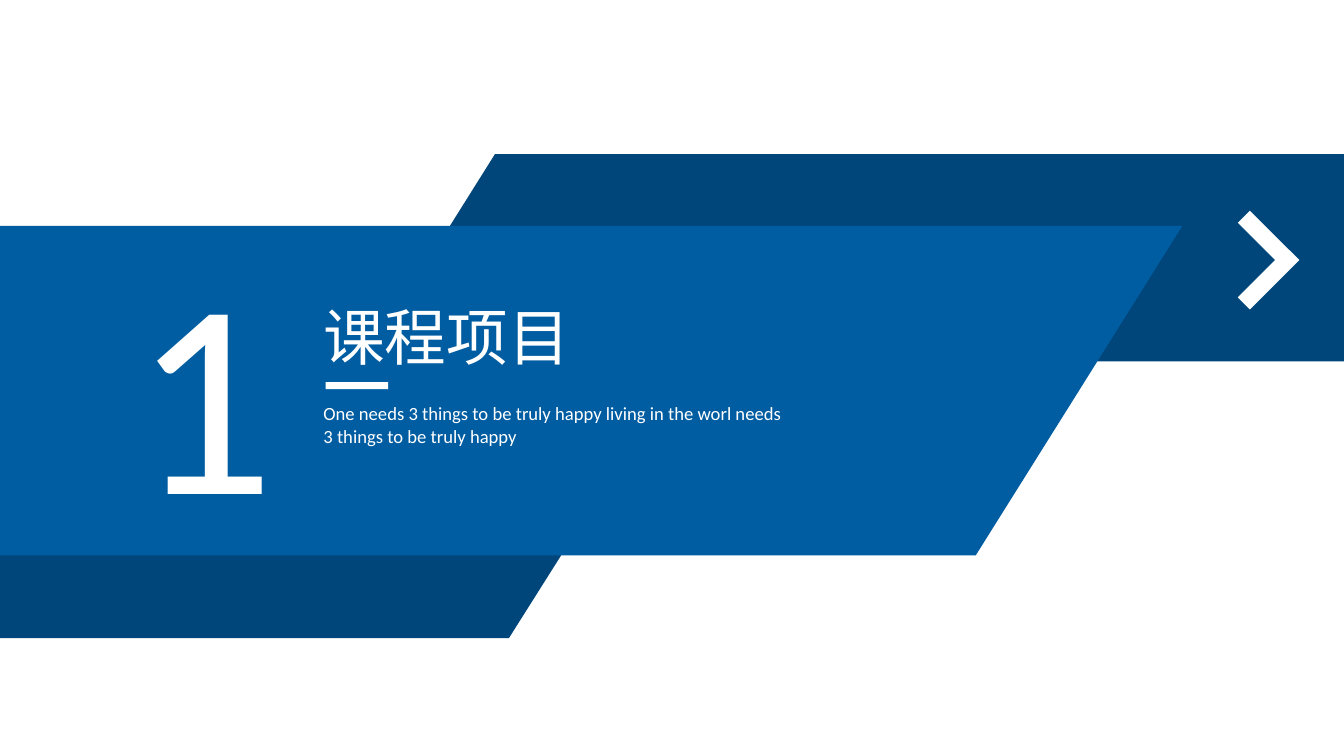
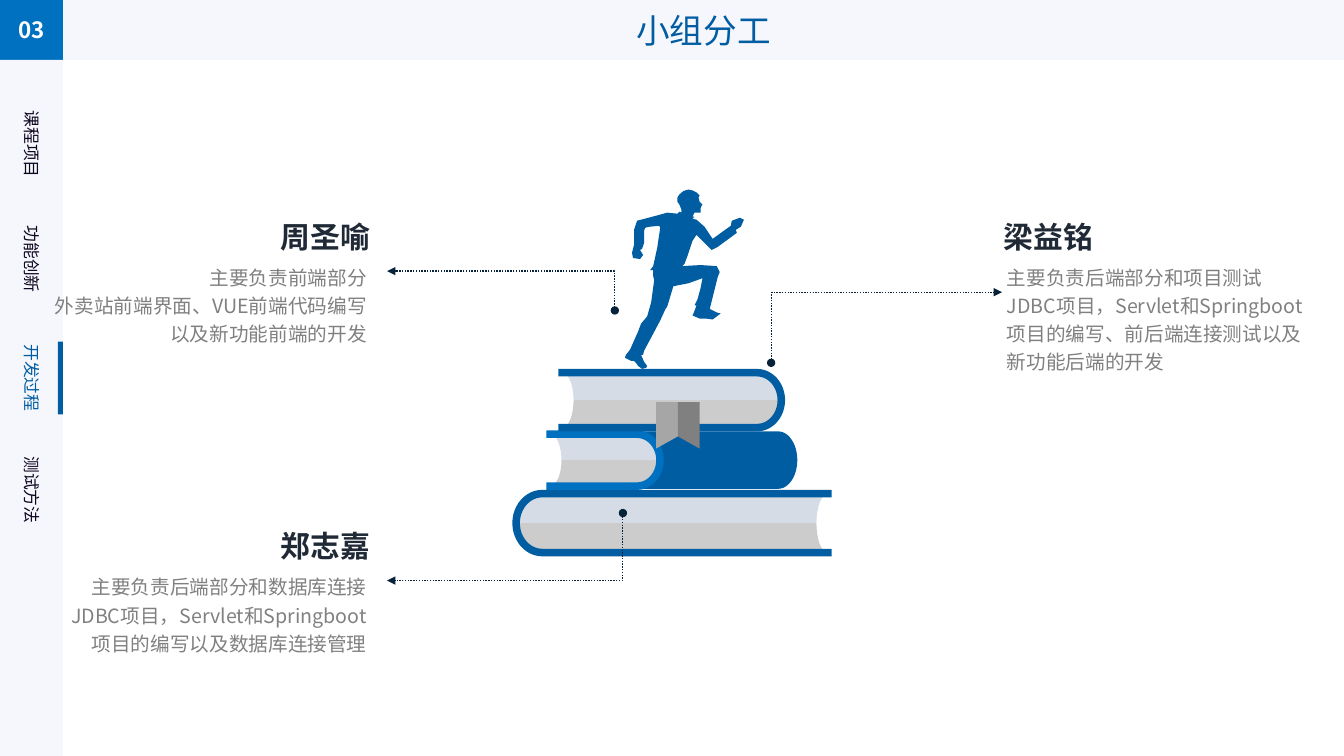
"""Builds a section divider and a team division slide on a grid of tenth-inch cells."""
import math
from dataclasses import dataclass
from typing import Optional

import lxml.etree
import pptx
import pptx.dml.color
import pptx.enum.dml
import pptx.enum.shapes
import pptx.enum.text
import pptx.oxml.ns
import pptx.util

Point = tuple[float, float]
ALIGN = pptx.enum.text.PP_ALIGN
qn = pptx.oxml.ns.qn

CELL = 91440
COLUMNS, ROWS = 133.33, 75
SANS, SANS_JP, LATIN = "Noto Sans CJK SC", "Noto Sans CJK JP", "Calibri"
WHITE, BLUE, NAVY, BRIGHT = "FFFFFF", "005DA2", "00467A", "0070C0"
PALE, INK, WIRE, HEADING = "F6F7FC", "0E0520", "07233A", "202A36"
PAGE_LIGHT, PAGE_DARK = "D6DCE5", "CCCCCC"
RIBBON_LIGHT, GRAY = "A6A6A6", "808080"
RAIL, HEADER = 6.25, 5.95


@dataclass(frozen=True)
class Box:
    left: float
    top: float
    width: float
    height: float


@dataclass(frozen=True)
class Style:
    size: float
    color: str
    font: str = SANS
    bold: bool = False
    align: ALIGN = ALIGN.LEFT
    spacing: Optional[float] = None


@dataclass(frozen=True)
class Book:
    open_end: float
    curve: float
    top: float
    bottom: float
    side: int
    color: str


@dataclass(frozen=True)
class NavItem:
    label: str
    top: float
    active: bool = False


@dataclass(frozen=True)
class Member:
    name: str
    duties: tuple[str, ...]
    left: float
    top: float
    width: float
    align: ALIGN


@dataclass(frozen=True)
class Callout:
    start: Point
    end: Point


DIVIDER_BANDS = [
    (NAVY, [(36.2, 35.85), (49.1, 15.3), (COLUMNS, 15.3), (COLUMNS, 35.85)]),
    (NAVY, [(0, 44.6), (62.3, 44.6), (50.5, 63.3), (0, 63.3)]),
    (BLUE, [(0, 22.4), (117.3, 22.4), (96.8, 55.1), (0, 55.1)]),
    (WHITE, [(124, 20.9), (128.9, 25.8), (124, 30.7), (122.8, 29.5), (126.5, 25.8), (122.8, 22.1)]),
]
NAV = [
    NavItem("课程项目", 12.8),
    NavItem("功能创新", 24.2),
    NavItem("开发过程", 36, True),
    NavItem("测试方法", 47.1),
]
LOWER_BOOK = Book(82.5, 53.8, 48.6, 55.2, -1, BLUE)
MIDDLE_BOOK = Book(54.2, 63.2, 42.7, 48.6, 1, BRIGHT)
UPPER_BOOK = Book(55.4, 75.1, 36.6, 42.8, 1, BLUE)
RUNNER = [
    (73.4, 21.6), (72.6, 21.9), (72.5, 22.4), (70.7, 23.7), (69.9, 22.5), (69.1, 21.8),
    (68.7, 21.7), (68.9, 21.5), (68.7, 21.5), (68.9, 21.1), (69.5, 21.1), (69.5, 20.7),
    (69.6, 20.4), (69.7, 20.3), (69.4, 20), (69.3, 19.6), (69.4, 19.4), (69.1, 19.1),
    (68.7, 18.9), (68.3, 18.8), (67.8, 18.95), (67.4, 19.3), (67.2, 19.6), (67.2, 20),
    (67.4, 20.3), (67.6, 20.8), (67.6, 21.1), (67.4, 21), (67.2, 21.2), (66.2, 21.1),
    (65.1, 21.4), (63.2, 21.9), (62.9, 22.8), (62.9, 24.3), (62.7, 25.1), (62.8, 25.6),
    (63.5, 25.7), (63.8, 25.3), (63.5, 24.8), (63.7, 24.7), (63.9, 24.1), (63.9, 22.9),
    (64, 22.6), (64.4, 22.5), (65.4, 22.4), (65.5, 22.6), (65.2, 24.6), (64.8, 26.4),
    (64.5, 26.8), (64.8, 26.8), (64.8, 27.4), (64.9, 27.8), (64.6, 30), (64.2, 31.4),
    (63.6, 32.1), (63.3, 32.9), (62.5, 34.7), (62.1, 35.2), (62, 35.5), (62.6, 35.8),
    (62.9, 35.8), (63.1, 36), (63.3, 36.3), (63.7, 36.6), (64.1, 36.5), (64.2, 36.3),
    (63.9, 35.9), (63.6, 35.2), (63.8, 35.2), (63.9, 34.8), (65.5, 31.8), (66, 30.7),
    (66.2, 30.4), (66.8, 28.4), (67.3, 28.3), (68.3, 28.1), (69.7, 27.6), (69.5, 28.6),
    (69.2, 29.7), (68.9, 30.3), (69.1, 30.3), (68.8, 31.1), (68.7, 31.3), (69.4, 31.6),
    (70, 31.6), (70.7, 31.7), (71.5, 31.1), (71.1, 31), (70.3, 30.6), (70.2, 30.5),
    (70.4, 30.7), (71.2, 27.5), (71.4, 27), (71.1, 26.4), (69.5, 26.3), (67.7, 26.4),
    (67.9, 26.2), (68.2, 25.4), (68.7, 23.9), (69.1, 23.3), (69.9, 24.1), (70.6, 24.8),
    (71.2, 24.5), (73.1, 23.1), (73, 22.8), (73.5, 22.5), (73.8, 21.8),
]
CALLOUTS = [
    Callout((61, 30.8), (38.4, 26.9)),
    Callout((61.8, 50.9), (38.4, 57.6)),
    Callout((76.5, 36), (99.4, 29)),
]
MEMBERS = [
    Member("周圣喻", ("主要负责前端部分", "外卖站前端界面、VUE前端代码编写以及新功能前端的开发"),
           3.6, 21.2, 34.1, ALIGN.RIGHT),
    Member("郑志嘉", ("主要负责后端部分和数据库连接", "JDBC项目，Servlet和Springboot项目的编写以及数据库连接管理"),
           4.6, 51.9, 33.1, ALIGN.RIGHT),
    Member("梁益铭", ("主要负责后端部分和项目测试", "JDBC项目，Servlet和Springboot项目的编写、前后端连接测试以及新功能后端的开发"),
           98.6, 21.2, 33, ALIGN.LEFT),
]


def cells(count: float) -> pptx.util.Emu:
    """Convert grid cells to a length."""
    return pptx.util.Emu(round(count * CELL))


def rgb(color: str) -> pptx.dml.color.RGBColor:
    """Convert a hex string to a colour."""
    return pptx.dml.color.RGBColor.from_string(color)


def frame(box: Box) -> list[pptx.util.Emu]:
    """Give a box as left, top, width and height lengths."""
    return [cells(n) for n in (box.left, box.top, box.width, box.height)]


def paint(sp, color: str) -> None:
    """Fill a shape flatly, without line or shadow."""
    sp.shadow.inherit = False
    sp.fill.solid()
    sp.fill.fore_color.rgb = rgb(color)
    sp.line.fill.background()


def write(tf, lines: tuple[str, ...], style: Style) -> None:
    """Write one styled paragraph per line."""
    for i, line in enumerate(lines):
        p = tf.add_paragraph() if i else tf.paragraphs[0]
        p.text = line
        p.alignment = style.align
        if style.spacing:
            p.line_spacing = style.spacing
        p.font.size = pptx.util.Pt(style.size)
        p.font.bold = style.bold
        p.font.color.rgb = rgb(style.color)
        p.font.name = style.font
        props = p._p.find(".//" + qn("a:defRPr"))
        lxml.etree.SubElement(props, qn("a:ea")).set("typeface", style.font)


def bar(slide, box: Box, color: str, text: str = "", style: Optional[Style] = None) -> None:
    """Draw a flat rectangle, with centred text if given."""
    sp = slide.shapes.add_shape(pptx.enum.shapes.MSO_SHAPE.RECTANGLE, *frame(box))
    paint(sp, color)
    if style:
        sp.text_frame.vertical_anchor = pptx.enum.text.MSO_ANCHOR.MIDDLE
        write(sp.text_frame, (text,), style)


def label(slide, box: Box, lines: tuple[str, ...], style: Style, wrap: bool = False,
          grow: bool = True, rotation: float = 0):
    """Add a text box and return its text frame."""
    sp = slide.shapes.add_textbox(*frame(box))
    sp.rotation = rotation
    tf = sp.text_frame
    tf.word_wrap = wrap
    sizing = pptx.enum.text.MSO_AUTO_SIZE
    tf.auto_size = sizing.SHAPE_TO_FIT_TEXT if grow else sizing.NONE
    write(tf, lines, style)
    return tf


def outline(slide, points: list[Point], color: str) -> None:
    """Draw a closed filled outline."""
    corners = [(cells(x), cells(y)) for x, y in points]
    builder = slide.shapes.build_freeform(*corners[0])
    builder.add_line_segments(corners[1:], close=True)
    paint(builder.convert_to_shape(), color)


def arc(center: Point, rx: float, ry: float, start: int, stop: int) -> list[Point]:
    """Sample an elliptical arc between two angles in degrees."""
    steps = 24
    angles = [math.radians(start + (stop - start) * i / steps) for i in range(steps + 1)]
    return [(center[0] + rx * math.cos(a), center[1] + ry * math.sin(a)) for a in angles]


def draw_pages(slide, book: Book) -> None:
    """Draw the light and dark halves of a book's pages."""
    half = (book.bottom - book.top) / 2
    mid, ry = book.top + half, half - 0.4
    edge = book.open_end + book.side * 0.4
    for sign, color in ((-1, PAGE_LIGHT), (1, PAGE_DARK)):
        spine = arc((book.curve, mid), book.side * (0.9 * half - 0.4), sign * ry, 0, 90)
        hollow = arc((edge, mid), book.side * 1.1, sign * ry, 90, 0)
        outline(slide, spine + hollow, color)


def draw_cover(slide, book: Book) -> None:
    """Draw the cover wrapping round a book's spine."""
    board = 0.75
    half = (book.bottom - book.top) / 2
    mid, rx = book.top + half, 0.9 * half
    outer = arc((book.curve, mid), book.side * rx, half, -90, 90)
    inner = arc((book.curve, mid), book.side * (rx - board), half - board, 90, -90)
    ends = [(book.open_end, y) for y in (book.bottom, book.bottom - board)]
    tips = [(book.open_end, y) for y in (book.top + board, book.top)]
    outline(slide, outer + ends + inner + tips, book.color)


def draw_books(slide) -> None:
    """Draw the stack of books with its bookmark."""
    for book in (LOWER_BOOK, MIDDLE_BOOK, UPPER_BOOK):
        draw_pages(slide, book)
        if book is MIDDLE_BOOK:
            back = arc((77.2, 45.65), 1.9, 2.85, -90, 90)
            hollow = arc((63.4, 45.65), 1.9, 2.85, 90, -90)
            outline(slide, back + hollow, BLUE)
        draw_cover(slide, book)
    fold = 67.25
    for side, color in ((-1, RIBBON_LIGHT), (1, GRAY)):
        rim = fold + side * 2.15
        outline(slide, [(rim, 39.9), (rim, 44.5), (fold, 43.3), (fold, 39.9)], color)


def draw_callout(slide, callout: Callout) -> None:
    """Draw a dotted elbow from a dot to an arrowhead."""
    ends = [cells(n) for n in callout.start + callout.end]
    c = slide.shapes.add_connector(pptx.enum.shapes.MSO_CONNECTOR.ELBOW, *ends)
    c.line.color.rgb = rgb(WIRE)
    c.line.width = pptx.util.Pt(1)
    c.line.dash_style = pptx.enum.dml.MSO_LINE.ROUND_DOT
    ln = c.element.find(".//" + qn("a:ln"))
    for tag, kind in (("a:headEnd", "oval"), ("a:tailEnd", "triangle")):
        lxml.etree.SubElement(ln, qn(tag)).set("type", kind)
    guide = lxml.etree.SubElement(c.element.find(".//" + qn("a:avLst")), qn("a:gd"))
    guide.set("name", "adj1")
    guide.set("fmla", "val 200")
    lxml.etree.SubElement(c.element.spPr, qn("a:effectLst"))


def draw_member(slide, member: Member) -> None:
    """Write a member's duties under the name."""
    body = Style(14, GRAY, align=member.align, spacing=1.2)
    tf = label(slide, Box(member.left, member.top + 4, member.width, 6.3), member.duties, body,
               wrap=True, grow=False)
    tf.margin_left = tf.margin_right = cells(1.3)
    tf.margin_top = tf.margin_bottom = cells(0.7)
    width = 11.2
    left = member.left + (member.width - width if member.align == ALIGN.RIGHT else 0)
    label(slide, Box(left, member.top, width, 4.6), (member.name,),
          Style(21.3, HEADING, bold=True, align=member.align), grow=False)


def draw_frame(slide, title: str, number: str) -> None:
    """Draw the header, the page number and the navigation rail."""
    bar(slide, Box(RAIL, 0, COLUMNS - RAIL, HEADER), PALE, title, Style(24, BLUE, align=ALIGN.CENTER))
    bar(slide, Box(0, 0, RAIL, HEADER), BRIGHT, number,
        Style(16, WHITE, SANS_JP, True, ALIGN.CENTER))
    bar(slide, Box(0, HEADER, RAIL, ROWS - HEADER), PALE)
    for item in NAV:
        color = BLUE if item.active else INK
        label(slide, Box(-1.2, item.top, 8.7, 3), (item.label,),
              Style(12, color, align=ALIGN.CENTER), rotation=90)
        if item.active:
            bar(slide, Box(RAIL - 0.5, item.top - 2.1, 0.5, 7.2), BLUE)


def build_divider(slide) -> None:
    """Build the section divider."""
    for color, points in DIVIDER_BANDS:
        outline(slide, points, color)
    label(slide, Box(12.1, 20.9, 16.2, 34.5), ("1",), Style(199, WHITE, LATIN, align=ALIGN.CENTER))
    label(slide, Box(31.1, 39.4, 48.2, 5.5),
          ("One needs 3 things to be truly happy living in the worl needs 3 things to be truly happy",),
          Style(13.3, WHITE, LATIN), wrap=True)
    label(slide, Box(31.1, 29.2, 27.1, 8.4), ("课程项目",), Style(44, WHITE), wrap=True)
    bar(slide, Box(32.3, 37.9, 6.2, 0.7), WHITE)


def build_team(slide) -> None:
    """Build the division of work."""
    draw_frame(slide, "小组分工", "03")
    draw_books(slide)
    outline(slide, RUNNER, BLUE)
    for callout in CALLOUTS:
        draw_callout(slide, callout)
    for member in MEMBERS:
        draw_member(slide, member)


def main() -> None:
    """Build and save the presentation."""
    prs = pptx.Presentation()
    prs.slide_width, prs.slide_height = cells(COLUMNS), cells(ROWS)
    for build in (build_divider, build_team):
        build(prs.slides.add_slide(prs.slide_layouts[6]))
    prs.save("out.pptx")


if __name__ == "__main__":
    main()
